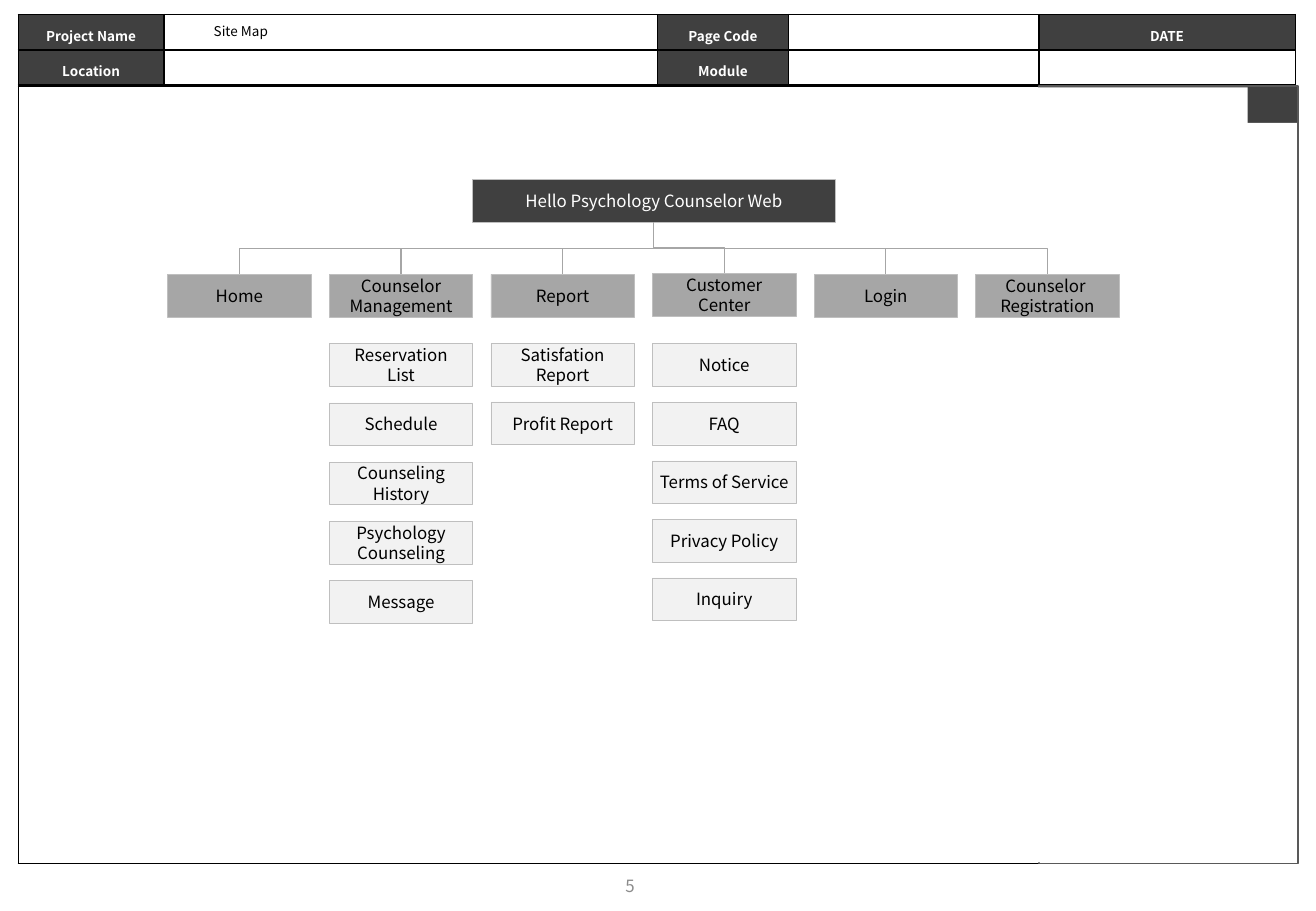
from lxml.etree import SubElement
from pptx import Presentation
from pptx.dml.color import RGBColor
from pptx.enum.shapes import MSO_CONNECTOR as Connector, MSO_SHAPE as Shape
from pptx.enum.text import MSO_ANCHOR as Anchor, PP_ALIGN as Align
from pptx.oxml.ns import qn
from pptx.util import Inches, Pt

BLACK = RGBColor(0x00, 0x00, 0x00)
WHITE = RGBColor(0xFF, 0xFF, 0xFF)
DARK = RGBColor(0x40, 0x40, 0x40)
EDGE = RGBColor(0x59, 0x59, 0x59)
PAGE_GREY = RGBColor(0x8C, 0x8C, 0x8C)
MID_GREY = RGBColor(0xA6, 0xA6, 0xA6)
BOX_EDGE = RGBColor(0xBF, 0xBF, 0xBF)
PALE = RGBColor(0xF2, 0xF2, 0xF2)

# Site map layout, in percent of the slide's width and height
FIRST_LEFT, COLUMN_STEP, BOX_WIDTH, BOX_HEIGHT = 12.74, 12.28, 10.9, 4.67
SECTION_TOP, PAGE_TOP = 30.13, 37.73

# Section title, its top, whether its pages wrap, step between pages, pages
SECTIONS = [
    ("Home", SECTION_TOP, True, 0, []),
    ("Counselor Management", SECTION_TOP, True, 6.5,
     ["Reservation List", "Schedule", "Counseling History",
      "Psychology Counseling", "Message"]),
    ("Report", SECTION_TOP, True, 6.4, ["Satisfation Report", "Profit Report"]),
    ("Customer Center", 30, False, 6.43,
     ["Notice", "FAQ", "Terms of Service", "Privacy Policy", "Inquiry"]),
    ("Login", SECTION_TOP, True, 0, []),
    ("Counselor \nRegistration", SECTION_TOP, True, 0, []),
]

HEADER_COLUMNS = [11.08, 37.49, 9.97, 19.02, 19.49]
HEADER_ROWS = [["Project Name", "", "Page Code", "", "DATE"],
               ["Location", "", "Module", "", ""]]


class WireframePage:
    """Draws on one slide; all lengths are percentages of its size."""

    font_name = "Noto Sans CJK KR"

    def __init__(self, presentation):
        self.width = presentation.slide_width
        self.height = presentation.slide_height
        self.slide = presentation.slides.add_slide(presentation.slide_layouts[6])
        self.shapes = self.slide.shapes

    def x(self, share):
        return round(self.width * share / 100)

    def y(self, share):
        return round(self.height * share / 100)

    def area(self, left, top, width, height):
        return self.x(left), self.y(top), self.x(width), self.y(height)

    def add_text(self, frame, text, size, color, align=Align.CENTER, bold=False,
                 spacing=None):
        for index, line in enumerate(text.split("\n")):
            paragraph = frame.add_paragraph() if index else frame.paragraphs[0]
            paragraph.alignment = align
            paragraph.line_spacing = spacing
            run = paragraph.add_run()
            run.text = line
            run.font.name = self.font_name
            run.font.size = Pt(size)
            run.font.bold = bold
            run.font.color.rgb = color
            properties = run.font._element
            SubElement(properties, qn("a:ea")).set("typeface", self.font_name)

    def box(self, area, fill, line=None, line_width=0.25, text="", color=BLACK,
            wrap=True):
        shape = self.shapes.add_shape(Shape.RECTANGLE, *self.area(*area))
        shape.shadow.inherit = False
        shape.fill.solid()
        shape.fill.fore_color.rgb = fill
        if line is None:
            shape.line.fill.background()
        else:
            shape.line.color.rgb = line
            shape.line.width = Pt(line_width)
        if text:
            shape.text_frame.word_wrap = wrap
            shape.text_frame.vertical_anchor = Anchor.MIDDLE
            self.add_text(shape.text_frame, text, 10, color)
        return shape

    def label(self, area, text, size, color, align, anchor, wrap):
        frame = self.shapes.add_textbox(*self.area(*area)).text_frame
        frame.word_wrap = wrap
        frame.vertical_anchor = anchor
        self.add_text(frame, text, size, color, align)

    def table(self, left, top, columns, row_height, rows):
        area = self.area(left, top, sum(columns), row_height * len(rows))
        table = self.shapes.add_table(len(rows), len(columns), *area).table
        table.first_row = table.horz_banding = False
        for column, width in zip(table.columns, columns):
            column.width = self.x(width)
        for row, texts in zip(table.rows, rows):
            row.height = self.y(row_height)
            for cell, text in zip(row.cells, texts):
                self.cell(cell, text)

    def cell(self, cell, text):
        cell.margin_left = cell.margin_right = Inches(0.04)
        cell.margin_top = cell.margin_bottom = Inches(0.04)
        properties = cell._tc.get_or_add_tcPr()
        for side in ("a:lnL", "a:lnR", "a:lnT", "a:lnB"):
            border = SubElement(properties, qn(side), w=str(Pt(1)))
            fill = SubElement(border, qn("a:solidFill"))
            SubElement(fill, qn("a:srgbClr"), val=str(BLACK))
        if text:
            cell.fill.solid()
            cell.fill.fore_color.rgb = DARK
            self.add_text(cell.text_frame, text, 8, WHITE, bold=True, spacing=1.3)
        else:
            cell.fill.background()
            paragraph = cell.text_frame.paragraphs[0]._p
            SubElement(paragraph, qn("a:endParaRPr"), sz="800")

    def branch(self, parent, child):
        """Elbow connector from a box's bottom down to another's top."""
        connector = self.shapes.add_connector(Connector.ELBOW, 0, 0, 0, 0)
        connector.begin_connect(parent, 2)
        connector.end_connect(child, 0)
        start_x = parent.left + parent.width // 2
        end_x = child.left + child.width // 2
        start_y = parent.top + parent.height
        drop, reach = child.top - start_y, abs(end_x - start_x)
        # The elbow lies on its side and is turned to run downwards
        connector.left = (start_x + end_x - drop) // 2
        connector.top = (start_y + child.top - reach) // 2
        connector.width, connector.height = drop, reach
        to_right = end_x > start_x
        properties = connector._element.spPr
        transform = properties.find(qn("a:xfrm"))
        transform.set("rot", str((270 if to_right else 90) * 60000))
        transform.set("flipH", "1" if to_right else "0")
        transform.set("flipV", "0")
        connector.line.color.rgb = MID_GREY
        connector.line.width = Pt(0.75)
        SubElement(properties, qn("a:effectLst"))


def main():
    presentation = Presentation()
    presentation.slide_width = Inches(10.83)
    presentation.slide_height = Inches(7.5)
    page = WireframePage(presentation)

    # Page frame and header
    page.table(1.39, 9.47, [97.05], 85.33, [[""]])
    page.table(1.39, 1.6, HEADER_COLUMNS, 3.87, HEADER_ROWS)
    page.box((78.95, 13.33, 19.67, 81.47), WHITE, EDGE, 1)
    page.box((78.95, 9.47, 19.67, 4), DARK, EDGE, 1)
    page.label((15.33, 1.87, 6.09, 3.2), "Site Map", 8, BLACK,
               Align.LEFT, Anchor.TOP, False)
    page.box((5.72, 9.6, 89.1, 85.07), WHITE)

    # Site map tree
    root = page.box((35.92, 19.73, 27.52, BOX_HEIGHT), DARK, BOX_EDGE,
                    text="Hello Psychology Counselor Web", color=WHITE)
    for column, (title, top, wrap, step, names) in enumerate(SECTIONS):
        left = FIRST_LEFT + column * COLUMN_STEP
        section = page.box((left, top, BOX_WIDTH, BOX_HEIGHT), MID_GREY,
                           BOX_EDGE, text=title)
        page.branch(root, section)
        for row, name in enumerate(names):
            page.box((left, PAGE_TOP + row * step, BOX_WIDTH, BOX_HEIGHT),
                     PALE, BOX_EDGE, text=name, wrap=wrap)

    # Page number
    page.label((36.2, 94.53, 23.36, 5.33), "5", 10, PAGE_GREY,
               Align.CENTER, Anchor.MIDDLE, True)

    presentation.save("out.pptx")


if __name__ == "__main__":
    main()
